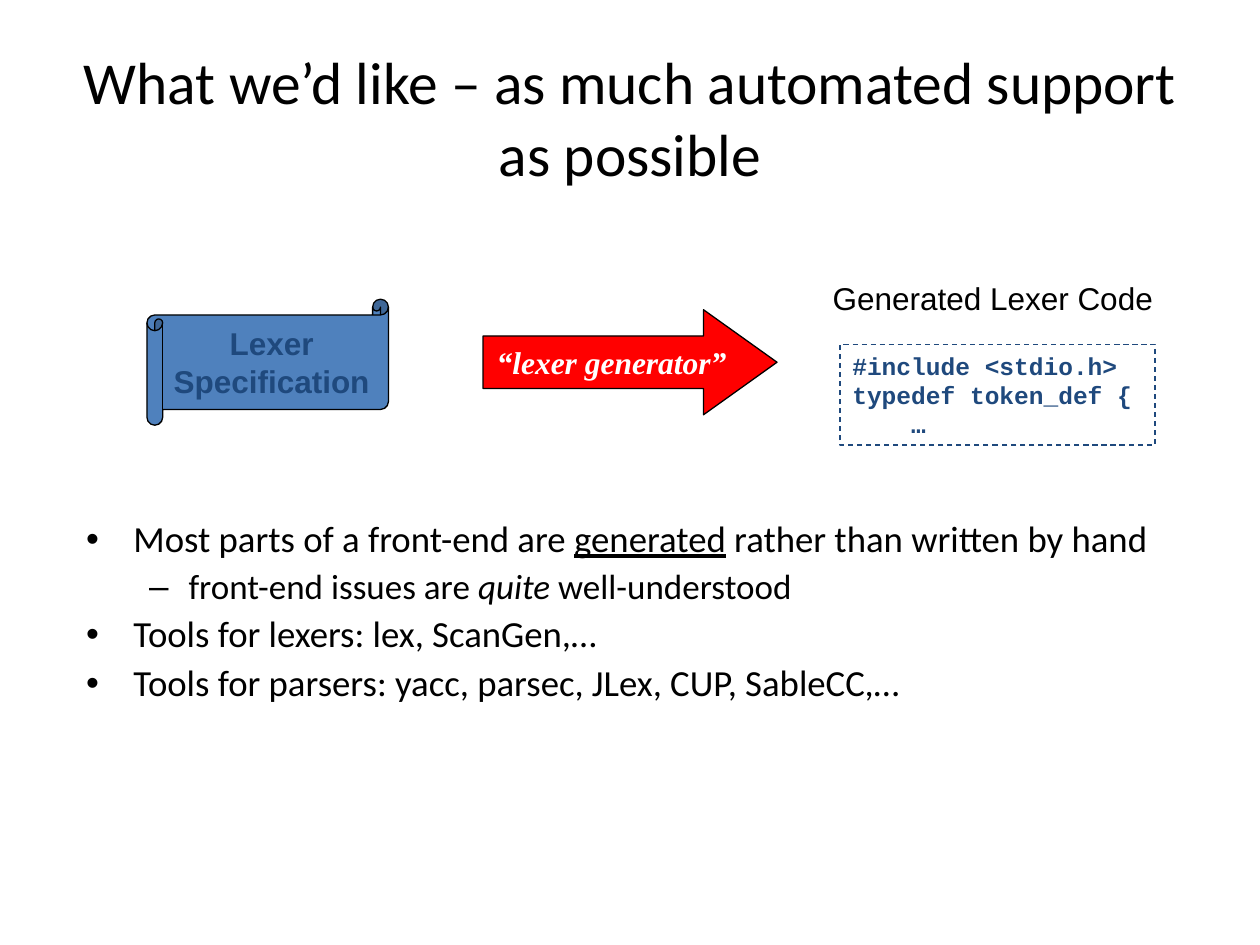
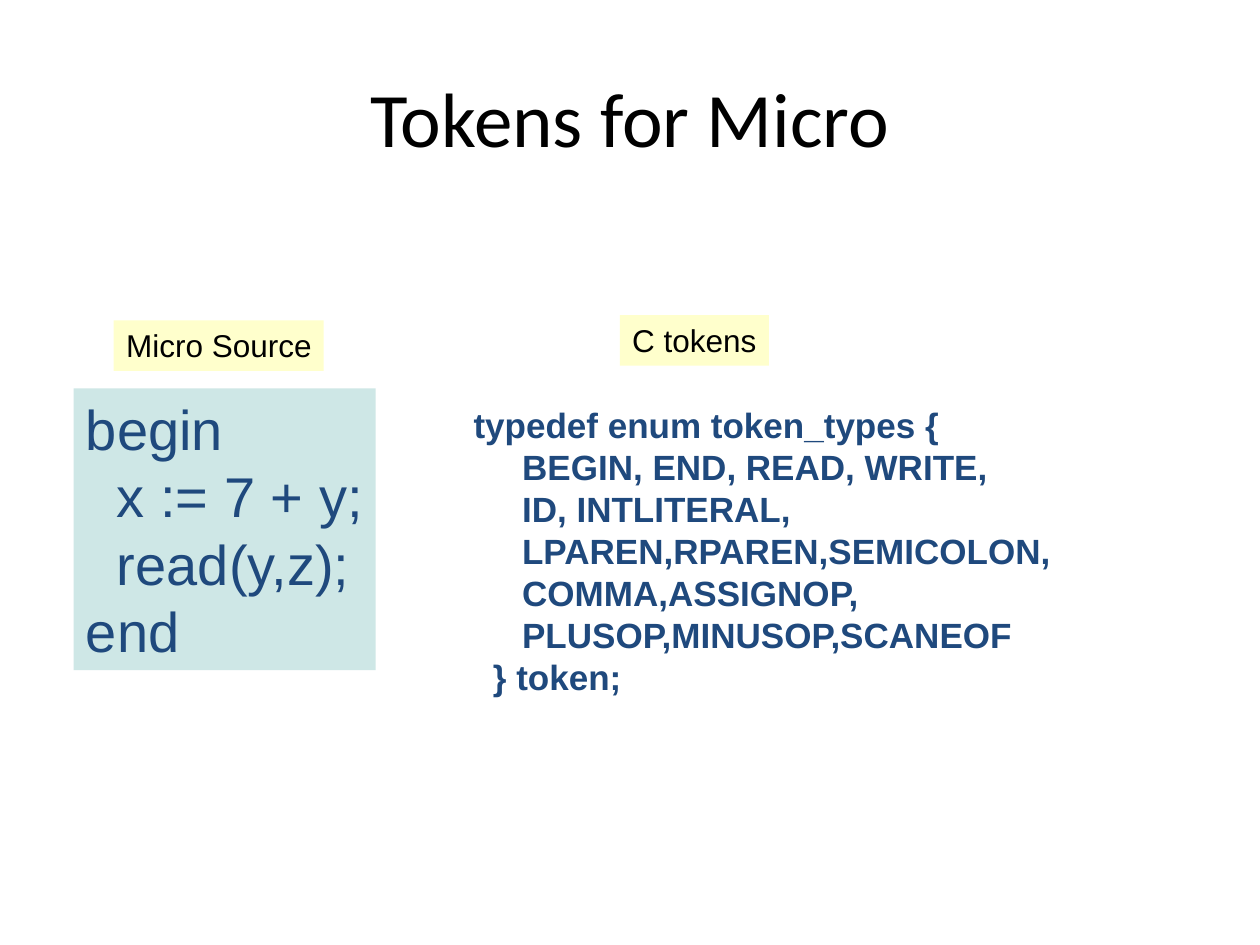
from pptx import Presentation
from pptx.dml.color import RGBColor
from pptx.enum import dml, shapes, text
from pptx.util import Pt

BLACK, WHITE, NAVY, BLUE = "000000", "FFFFFF", "1F497D", "4F81BD"
RED, TEAL, YELLOW = "FF0000", "CEE7E6", "FFFFCC"
KIND = shapes.MSO_SHAPE
LEFT, CENTER = text.PP_ALIGN.LEFT, text.PP_ALIGN.CENTER
TOP, MIDDLE = text.MSO_ANCHOR.TOP, text.MSO_ANCHOR.MIDDLE


def write(box, lines, size=18, font="Arial", color=BLACK, bold=False,
          italic=False, align=LEFT, anchor=TOP, wrap=False):
    """Fill a box; a line is a string or a list of (words, style) spans."""
    frame = box.text_frame
    frame.word_wrap = wrap
    frame.auto_size = text.MSO_AUTO_SIZE.NONE
    frame.vertical_anchor = anchor
    for index, line in enumerate(lines):
        para = frame.add_paragraph() if index else frame.paragraphs[0]
        para.alignment = align
        spans = [(line, None)] if isinstance(line, str) else line
        for words, style in spans:
            span = para.add_run()
            span.text = words
            span.font.size, span.font.name = Pt(size), font
            span.font.bold, span.font.italic = bold, italic
            span.font.color.rgb = RGBColor.from_string(color)
            if style:
                setattr(span.font, style, True)


def add_box(page, kind, place, fill=None, line=None):
    box = page.shapes.add_shape(kind, *map(Pt, place))
    box.shadow.inherit = False
    if fill:
        box.fill.solid()
        box.fill.fore_color.rgb = RGBColor.from_string(fill)
    else:
        box.fill.background()
    if line:
        box.line.color.rgb = RGBColor.from_string(line)
        box.line.width = Pt(0.75)
    else:
        box.line.fill.background()
    return box


deck = Presentation()
deck.slide_width, deck.slide_height = Pt(720), Pt(540)

# Pages with their shared title style
pages = []
for layout, title, size in [
        (1, "What we’d like – as much automated support as possible", 34),
        (5, "Tokens for Micro", 44)]:
    page = deck.slides.add_slide(deck.slide_layouts[layout])
    heading = page.shapes.title
    heading.left, heading.top, heading.width, heading.height = map(
        Pt, (36, 21.6, 648, 90))
    write(heading, [title], size=size, font="Calibri", align=CENTER,
          anchor=MIDDLE, wrap=True)
    pages.append(page)
support_page, token_page = pages

# Slide 1: bullets
body = support_page.placeholders[1]
body.left, body.top, body.width, body.height = map(Pt, (42, 294, 636, 156))
write(body, [
    [("Most parts of a front-end are ", None), ("generated", "underline"),
     (" rather than written by hand", None)],
    [("front-end issues are ", None), ("quite", "italic"),
     (" well-understood", None)],
    "Tools for lexers: lex, ScanGen,…",
    "Tools for parsers: yacc, parsec, JLex, CUP, SableCC,…",
], size=21, font="Calibri", wrap=True)
for index, para in enumerate(body.text_frame.paragraphs):
    para.line_spacing = 0.9
    para.space_before = Pt(5.2 if index else 0)
detail = body.text_frame.paragraphs[1]
detail.level = 1
detail.space_before = Pt(5)
for span in detail.runs:
    span.font.size = Pt(20)

# Slide 1: specification, generator, generated code
scroll = add_box(support_page, KIND.HORIZONTAL_SCROLL, (84, 171, 138, 72),
                 BLUE, BLACK)
write(scroll, ["Lexer", "Specification"], color=NAVY, bold=True,
      align=CENTER, anchor=MIDDLE)

generator = add_box(support_page, KIND.RIGHT_ARROW, (276, 177, 168, 60),
                    RED, BLACK)
generator.adjustments[1] = 0.7
write(generator, ["“lexer generator”"], font="Times New Roman", color=WHITE,
      bold=True, italic=True, align=CENTER, anchor=MIDDLE, wrap=True)

code = add_box(support_page, KIND.RECTANGLE, (480, 196.8, 180, 57.6),
               line=NAVY)
code.line.dash_style = dml.MSO_LINE.DASH
write(code, ["#include <stdio.h>", "typedef token_def {", "    …"],
      size=14, font="Courier New", color=NAVY, bold=True, wrap=True)

caption = support_page.shapes.add_textbox(*map(Pt, (468.7, 156, 197.3, 29)))
write(caption, ["Generated Lexer Code"])

# Slide 2: source program and its tokens
source = add_box(token_page, KIND.RECTANGLE, (42, 222, 172.6, 161), TEAL)
write(source, ["begin", "  x := 7 + y;", "  read(y,z);", "end"],
      size=32, color=NAVY)

tokens = token_page.shapes.add_textbox(*map(Pt, (263.5, 227, 347, 175.7)))
write(tokens, [
    "typedef enum token_types {",
    "     BEGIN, END, READ, WRITE,",
    "     ID, INTLITERAL,",
    "     LPAREN,RPAREN,SEMICOLON,",
    "     COMMA,ASSIGNOP,",
    "     PLUSOP,MINUSOP,SCANEOF",
    "  } token;",
], size=20, color=NAVY, bold=True)

for label, left, top, width in [("Micro Source", 65, 183, 120),
                                ("C tokens", 354.2, 180, 85.2)]:
    tag = add_box(token_page, KIND.RECTANGLE, (left, top, width, 29), YELLOW)
    write(tag, [label])

deck.save("out.pptx")
